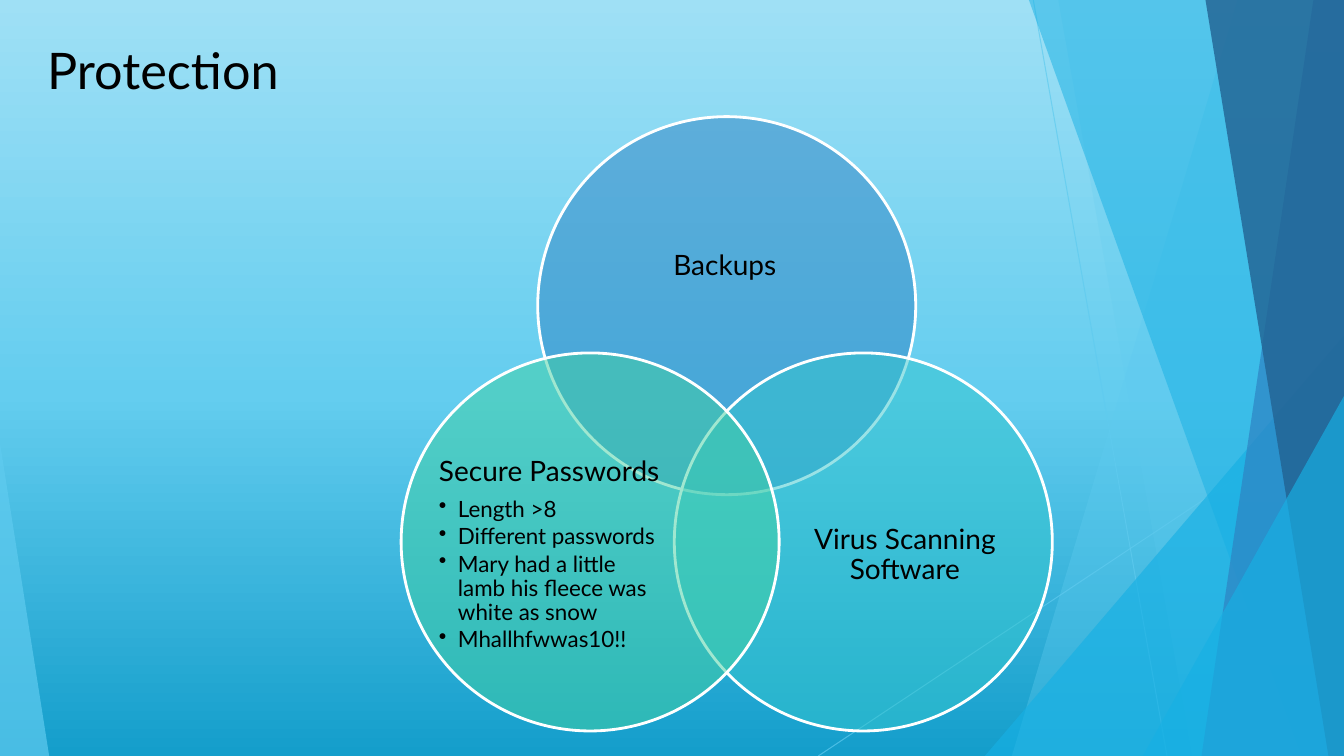
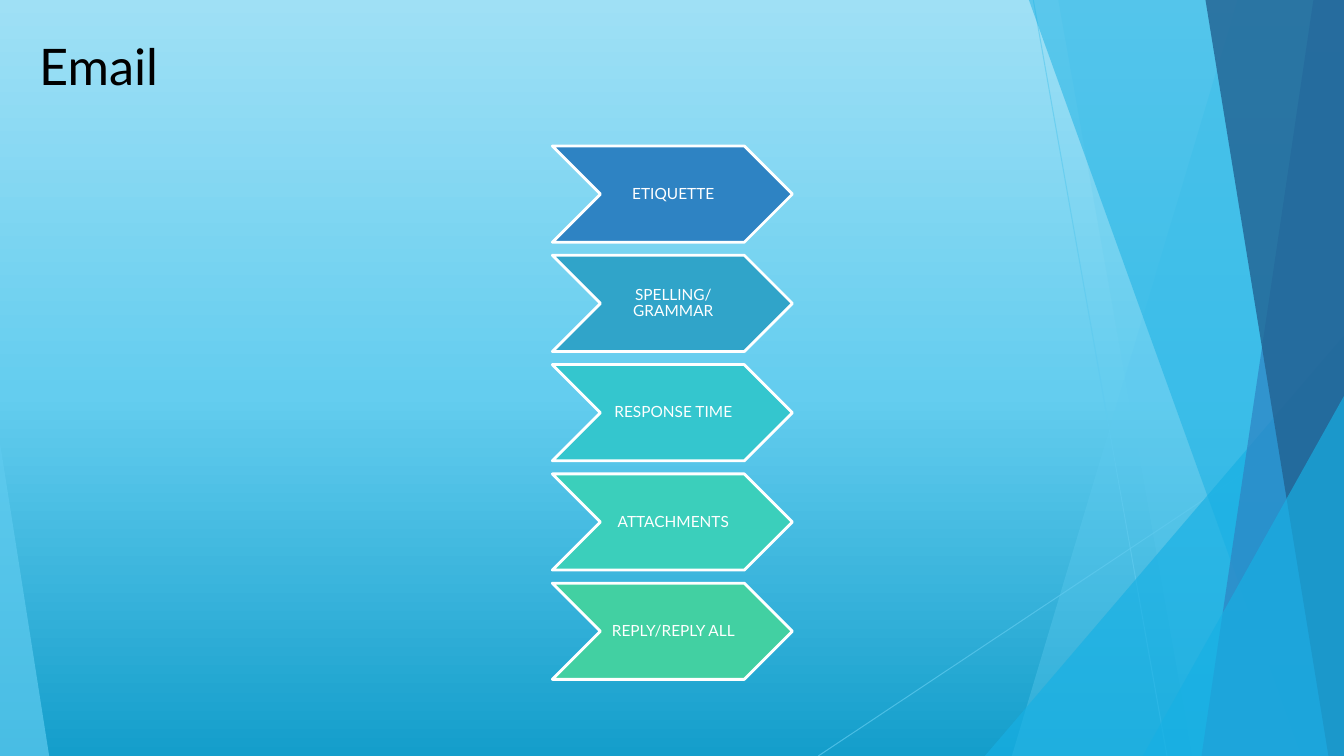
from copy import deepcopy

from lxml.etree import SubElement
from pptx import Presentation
from pptx.dml.color import RGBColor
from pptx.enum.shapes import MSO_CONNECTOR, MSO_SHAPE
from pptx.enum.text import MSO_ANCHOR, PP_ALIGN
from pptx.oxml.ns import qn
from pptx.util import Cm, Pt

FONT = "Lato"
WIDTH, HEIGHT = 33.87, 19.05
BLACK = RGBColor(0x00, 0x00, 0x00)
WHITE = RGBColor(0xFF, 0xFF, 0xFF)
DEEP = RGBColor(0x14, 0x9E, 0xCB)
MIDDLE = RGBColor(0x64, 0xCD, 0xEF)
PALE = RGBColor(0x9F, 0xE0, 0xF5)
SKY = RGBColor(0x5F, 0xCB, 0xEF)
AZURE = RGBColor(0x17, 0xB0, 0xE4)
BLUE = RGBColor(0x2E, 0x83, 0xC3)
NAVY = RGBColor(0x22, 0x62, 0x92)
LAGOON = RGBColor(0x30, 0xA4, 0xC9)
TURQUOISE = RGBColor(0x34, 0xC6, 0xCE)
MINT = RGBColor(0x3B, 0xCF, 0xBB)
GREEN = RGBColor(0x42, 0xD0, 0xA2)

BACKDROP = [(0, DEEP), (0.48, MIDDLE), (1, PALE)]
RAYS = [(26.04, 0, 29.41, HEIGHT), (WIDTH, 10.24, 20.62, HEIGHT)]


def set_opacity(solid_fill, percent):
    color = solid_fill.find(qn("a:srgbClr"))
    SubElement(color, qn("a:alpha")).set("val", str(percent * 1000))


def paint(shape, color, opacity=100, outline=None):
    shape.shadow.inherit = False
    shape.fill.solid()
    shape.fill.fore_color.rgb = color
    if opacity < 100:
        set_opacity(shape.element.spPr.find(qn("a:solidFill")), opacity)
    if outline is None:
        shape.line.fill.background()
    else:
        shape.line.color.rgb = outline
        shape.line.width = Pt(2)


def add_preset(page, kind, box):
    return page.shapes.add_shape(kind, *map(Cm, box))


def set_frame(frame, anchor, margins):
    frame.word_wrap = True
    frame.vertical_anchor = anchor
    frame.margin_left, frame.margin_top, frame.margin_right, frame.margin_bottom = map(Cm, margins)


def style_paragraph(para, text, size, color, align=PP_ALIGN.LEFT):
    para.text = text
    para.alignment = align
    para.font.name = FONT
    para.font.size = Pt(size)
    para.font.color.rgb = color


def add_bullet(para):
    para.level = 1
    properties = para._p.get_or_add_pPr()
    properties.set("marL", str(Cm(0.48)))
    properties.set("indent", str(-Cm(0.48)))
    SubElement(properties, qn("a:buChar")).set("char", "•")


def add_ray(page, ends):
    ray = page.shapes.add_connector(MSO_CONNECTOR.STRAIGHT, *map(Cm, ends))
    ray.line.color.rgb = SKY
    ray.line.width = Pt(0.75)
    properties = ray.element.spPr
    set_opacity(properties.find(qn("a:ln")).find(qn("a:solidFill")), 70)
    SubElement(properties, qn("a:effectLst"))


def add_facet(page, color, opacity, top_x, bottom_x):
    outline = page.shapes.build_freeform(Cm(top_x), 0)
    corners = [(WIDTH, 0), (WIDTH, HEIGHT), (bottom_x, HEIGHT)]
    outline.add_line_segments([(Cm(x), Cm(y)) for x, y in corners])
    paint(outline.convert_to_shape(), color, opacity)


def add_wedge(page, color, opacity, left, top, right, apex):
    box = (left, top, right - left, HEIGHT - top)
    wedge = add_preset(page, MSO_SHAPE.ISOSCELES_TRIANGLE, box)
    wedge.adjustments[0] = apex
    paint(wedge, color, opacity)


def draw_backdrop(page):
    fill = page.background.fill
    fill.gradient()
    fill.gradient_angle = 90
    stops = page.element.find(".//" + qn("a:gsLst"))
    stops.append(deepcopy(stops[0]))
    for stop, (position, color) in zip(fill.gradient_stops, BACKDROP):
        stop.position = position
        stop.color.rgb = color
    for ends in RAYS:
        add_ray(page, ends)
    add_facet(page, SKY, 36, 31.19, 25.5)
    add_facet(page, SKY, 20, 26.67, 30.05)
    add_wedge(page, AZURE, 66, 24.82, 8.46, WIDTH, 1)
    add_facet(page, AZURE, 50, 25.93, 32.79)
    add_facet(page, BLUE, 70, 33.1, 30.28)
    add_facet(page, NAVY, 80, 30.38, 33.48)
    add_wedge(page, AZURE, 66, 28.8, 9.98, WIDTH, 1)
    add_wedge(page, SKY, 70, 0, 11.15, 1.24, 0)


def add_page(deck, title, left, top):
    page = deck.slides.add_slide(deck.slide_layouts[6])
    draw_backdrop(page)
    frame = page.shapes.add_textbox(Cm(left), Cm(top), Cm(18.06), Cm(2.92)).text_frame
    set_frame(frame, MSO_ANCHOR.TOP, (0.25, 0.13, 0.25, 0.13))
    style_paragraph(frame.paragraphs[0], title, 36, BLACK)
    return page


def draw_circle(page, box, color, label_area, heading, bullets=()):
    left, top, diameter, _ = box
    circle = add_preset(page, MSO_SHAPE.OVAL, box)
    paint(circle, color, 50, WHITE)
    x, y, width, height = (share * diameter for share in label_area)
    label = page.shapes.add_textbox(Cm(left + x), Cm(top + y), Cm(width), Cm(height))
    frame = label.text_frame
    set_frame(frame, MSO_ANCHOR.MIDDLE, (0, 0, 0, 0))
    para = frame.paragraphs[0]
    style_paragraph(para, heading, 20, BLACK, PP_ALIGN.LEFT if bullets else PP_ALIGN.CENTER)
    para.line_spacing = 0.9
    para.space_after = Pt(7)
    for text in bullets:
        para = frame.add_paragraph()
        style_paragraph(para, text, 16, BLACK)
        para.line_spacing = 0.9
        para.space_after = Pt(2.4)
        add_bullet(para)


def draw_venn(page, left, top, width, height, circles):
    diameter = height / 1.625
    middle = left + (width - diameter) / 2
    low = top + height - diameter
    places = [(middle, top), (left + width - diameter, low), (left, low)]
    areas = [(0.13, 0.17, 0.73, 0.45), (0.31, 0.26, 0.6, 0.55), (0.1, 0.26, 0.6, 0.55)]
    for (x, y), area, content in zip(places, areas, circles):
        color, heading, bullets = content
        draw_circle(page, (x, y, diameter, diameter), color, area, heading, bullets)


def draw_chevrons(page, left, top, width, height, steps):
    pitch = height / (len(steps) - 0.12)
    step_height = pitch * 0.88
    for index, (text, color) in enumerate(steps):
        box = (left, top + index * pitch, width, step_height)
        chevron = add_preset(page, MSO_SHAPE.CHEVRON, box)
        paint(chevron, color, outline=WHITE)
        set_frame(chevron.text_frame, MSO_ANCHOR.MIDDLE, (0.05, 0.03, 0, 0.03))
        para = chevron.text_frame.paragraphs[0]
        style_paragraph(para, text, 11, WHITE, PP_ALIGN.CENTER)
        para.line_spacing = 0.9


def build_protection(deck):
    page = add_page(deck, "Protection", 0.94, 0.86)
    password_rules = [
        "Length >8",
        "Different passwords",
        "Mary had a little lamb his fleece was white as snow",
        "Mhallhfwwas10!!",
    ]
    draw_venn(page, 10.11, 2.94, 16.41, 15.48, [
        (BLUE, "Backups", []),
        (TURQUOISE, "Virus Scanning Software", []),
        (GREEN, "Secure Passwords", password_rules),
    ])


def build_email(deck):
    page = add_page(deck, "Email", 0.74, 0.76)
    draw_chevrons(page, 13.92, 3.68, 6.05, 13.44, [
        ("ETIQUETTE", BLUE),
        ("SPELLING/GRAMMAR", LAGOON),
        ("RESPONSE TIME", TURQUOISE),
        ("ATTACHMENTS", MINT),
        ("REPLY/REPLY ALL", GREEN),
    ])


def main():
    deck = Presentation()
    deck.slide_width, deck.slide_height = Cm(WIDTH), Cm(HEIGHT)
    build_protection(deck)
    build_email(deck)
    deck.save("out.pptx")


if __name__ == "__main__":
    main()
